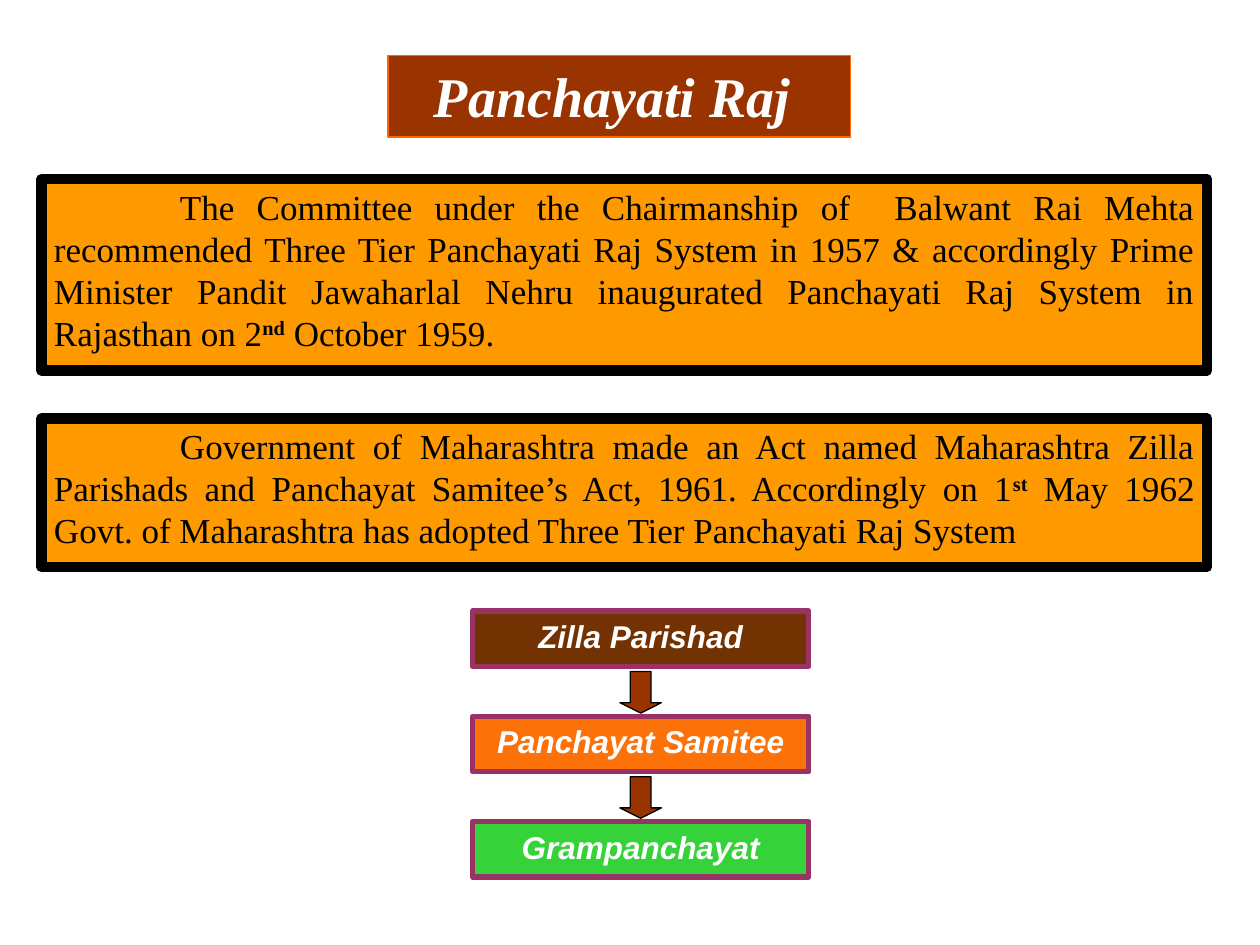
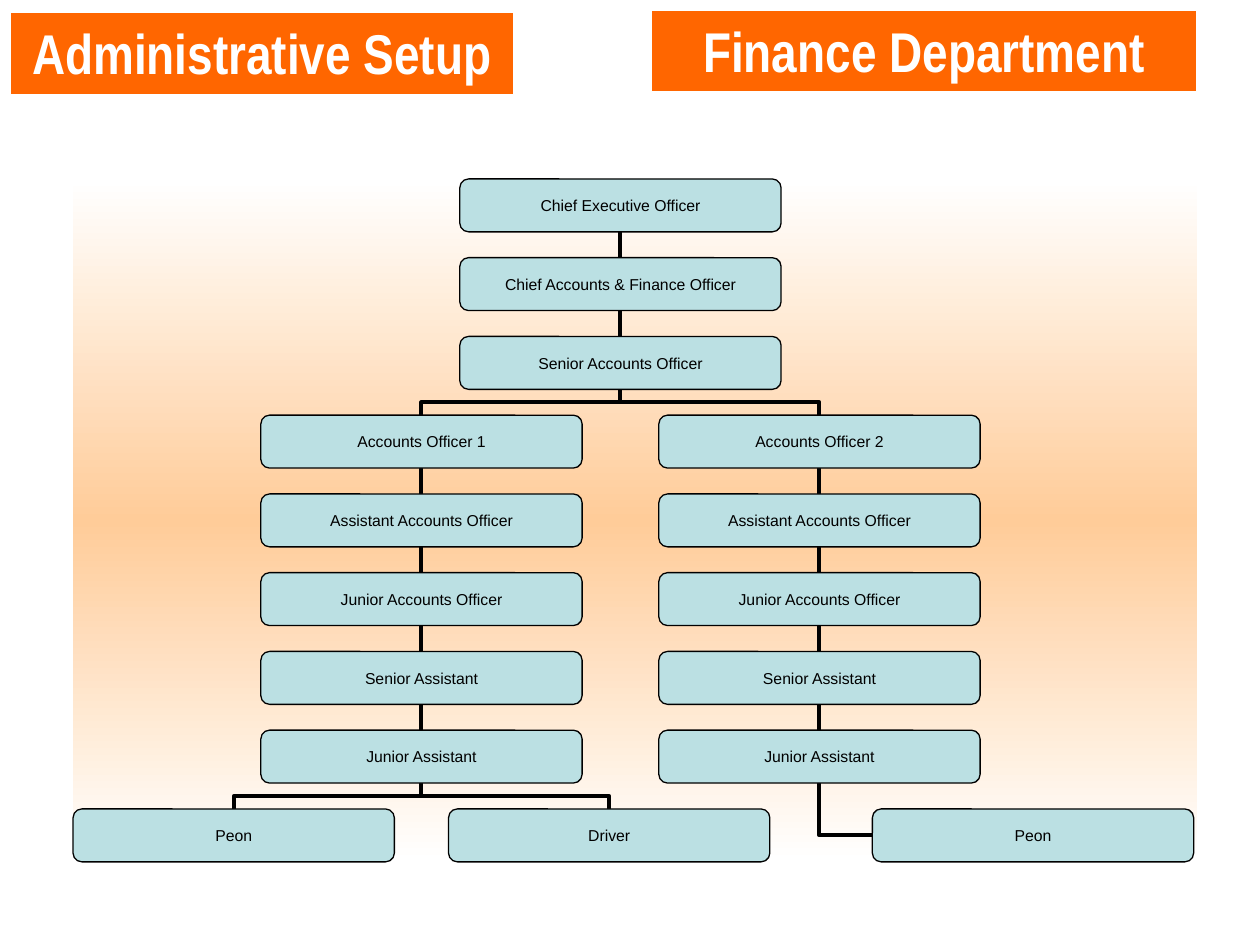
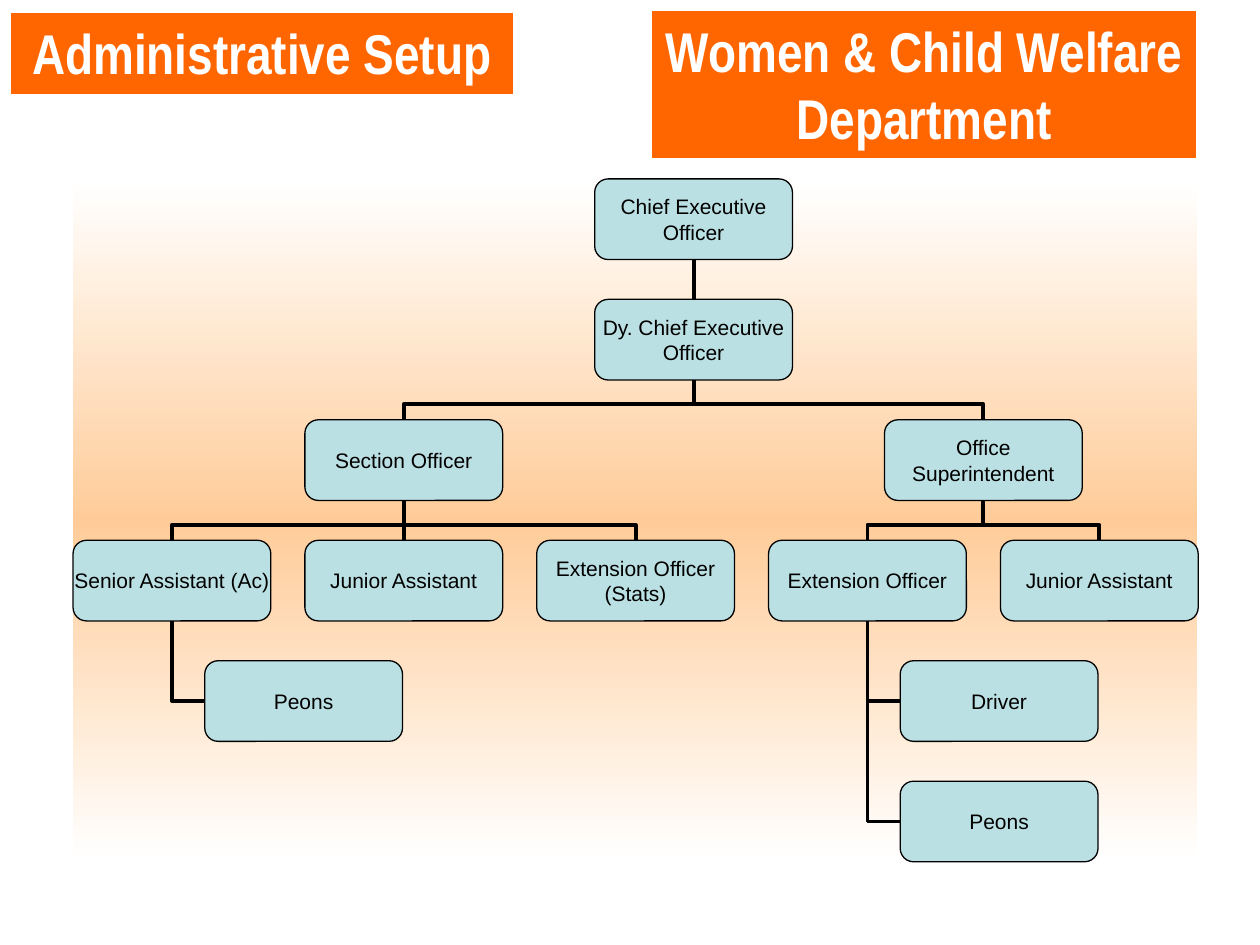
from copy import deepcopy
from dataclasses import dataclass

from lxml import etree
from pptx import Presentation
from pptx.dml.color import RGBColor
from pptx.enum.shapes import MSO_CONNECTOR as Connector, MSO_SHAPE as Shape
from pptx.enum.text import MSO_ANCHOR as Anchor, MSO_AUTO_SIZE as AutoSize, PP_ALIGN as Align
from pptx.oxml.ns import qn
from pptx.util import Inches, Pt


@dataclass(frozen=True)
class Theme:
    black: str = "000000"
    white: str = "FFFFFF"
    orange: str = "FF6600"
    amber: str = "FF9900"
    rust: str = "993300"
    plum: str = "993366"
    peach: str = "FFCC99"
    pale_blue: str = "BBE0E3"
    serif: str = "Times New Roman"
    sans: str = "Arial"
    narrow: str = "Arial Narrow"
    title_size: float = 32
    body_size: float = 20
    tier_size: float = 18
    box_line: float = 0.75
    link_line: float = 2.25


THEME = Theme()

# ---- Content ----
RAJ_TITLE = "Panchayati Raj "
# Each paragraph: top, height, runs as (text, is ordinal suffix)
PARAGRAPHS = [
    (1.42, 1.52, [
        ("The Committee under the Chairmanship of  Balwant Rai Mehta recommended "
         "Three Tier Panchayati Raj System in 1957 & accordingly Prime Minister "
         "Pandit Jawaharlal Nehru inaugurated Panchayati Raj System in Rajasthan on 2", False),
        ("nd", True),
        (" October 1959.", False)]),
    (3.32, 1.18, [
        ("Government of Maharashtra made an Act named Maharashtra Zilla Parishads and "
         "Panchayat Samitee’s Act, 1961. Accordingly on 1", False),
        ("st", True),
        (" May 1962 Govt. of Maharashtra has adopted Three Tier Panchayati Raj System", False)]),
]
TIERS = [("Zilla Parishad", "733201"), ("Panchayat Samitee", "FC7108"),
         ("Grampanchayat", "36D23A")]

SETUP_TITLE = "Administrative Setup"
OFFICER_CHAIN = ["Assistant Accounts Officer", "Junior Accounts Officer",
                 "Senior Assistant", "Junior Assistant"]

# Each post: key, label, key of its superior, column, row.
# A post without a column hangs to the right below its superior.
FINANCE_POSTS = [
    ("ceo", "Chief Executive Officer", None, 1.03, 0),
    ("cafo", "Chief Accounts & Finance Officer", "ceo", 1.03, 1),
    ("sao", "Senior Accounts Officer", "cafo", 1.03, 2),
]
for number, column in ((1, 0.5), (2, 1.56)):
    FINANCE_POSTS.append((f"{number}.0", f"Accounts Officer {number}", "sao", column, 3))
    FINANCE_POSTS += [(f"{number}.{step}", label, f"{number}.{step - 1}", column, 3 + step)
                      for step, label in enumerate(OFFICER_CHAIN, 1)]
FINANCE_POSTS += [
    ("peon 1", "Peon", "1.4", 0, 8),
    ("driver", "Driver", "1.4", 1, 8),
    ("peon 2", "Peon", "2.4", None, 8),
]
WELFARE_POSTS = [
    ("ceo", "Chief Executive Officer", None, 2.25, 0),
    ("deputy", "Dy. Chief Executive Officer", "ceo", 2.25, 1),
    ("section", "Section Officer", "deputy", 1, 2),
    ("office", "Office Superintendent", "deputy", 3.5, 2),
    ("senior", "Senior Assistant (Ac)", "section", 0, 3),
    ("junior 1", "Junior Assistant", "section", 1, 3),
    ("stats", "Extension Officer (Stats)", "section", 2, 3),
    ("extension", "Extension Officer", "office", 3, 3),
    ("junior 2", "Junior Assistant", "office", 4, 3),
    ("peons 1", "Peons", "senior", None, 4),
    ("driver", "Driver", "extension", None, 4),
    ("peons 2", "Peons", "extension", None, 5),
]
TWO_LINE_POSTS = {"Chief Executive Officer", "Dy. Chief Executive Officer",
                  "Office Superintendent", "Extension Officer (Stats)"}

# bend is the height of the crossbar as a share of the gap, from the lower post
DEPARTMENTS = [
    dict(title="Finance Department", title_height=0.65, posts=FINANCE_POSTS,
         size=9, post=(2.55, 0.42), columns=2, pitch=2.98, rows=9, hang=0.42, bend=0.5),
    dict(title="Women & Child Welfare Department", title_height=1.18, posts=WELFARE_POSTS,
         size=12, post=(1.57, 0.64), columns=5, pitch=1.84, rows=6, hang=0.26, bend=0.39),
]
CHART_LEFT, CHART_TOP, CHART_WIDTH, CHART_HEIGHT = 0.58, 1.42, 8.92, 5.42


# ---- Shared parts ----
def color(value):
    return RGBColor.from_string(value)


def add_box(page, kind, left, top, width, height, fill, line, line_width):
    box = page.shapes.add_shape(kind, *map(Inches, (left, top, width, height)))
    box.shadow.inherit = False
    if fill:
        box.fill.solid()
        box.fill.fore_color.rgb = color(fill)
    if line:
        box.line.color.rgb = color(line)
        box.line.width = Pt(line_width)
    else:
        box.line.fill.background()
    return box


def start_text(box, align, grow=True):
    frame = box.text_frame
    frame.word_wrap = True
    if grow:
        frame.auto_size = AutoSize.SHAPE_TO_FIT_TEXT
        frame.vertical_anchor = Anchor.TOP
    para = frame.paragraphs[0]
    para.alignment = align
    return para


def add_span(para, text, font, size, ink, bold=False, italic=False):
    span = para.add_run()
    span.text = text
    span.font.name, span.font.size = font, Pt(size)
    span.font.bold, span.font.italic = bold, italic
    span.font.color.rgb = color(ink)
    return span


def add_banner(page, left, top, width, height, text):
    box = add_box(page, Shape.RECTANGLE, left, top, width, height,
                  THEME.orange, THEME.white, 1)
    add_span(start_text(box, Align.CENTER), text, THEME.narrow,
             THEME.title_size, THEME.white, bold=True)


# ---- Panchayati Raj slide ----
def build_raj(page):
    tier_left, tier_top, tier_width, tier_height, tier_pitch = 3.75, 4.85, 2.67, 0.44, 0.835
    arrow = 0.33
    for step in range(len(TIERS) - 1):
        add_box(page, Shape.DOWN_ARROW, tier_left + (tier_width - arrow) / 2,
                tier_top + 0.48 + step * tier_pitch, arrow, arrow,
                THEME.rust, THEME.black, THEME.box_line).adjustments[1] = 0.25

    for top, height, runs in PARAGRAPHS:
        box = add_box(page, Shape.RECTANGLE, 0.33, top, 9.25, height,
                      THEME.amber, THEME.black, 6)
        para = start_text(box, Align.JUSTIFY)
        para._p.get_or_add_pPr().set("indent", str(Inches(1)))
        for text, ordinal in runs:
            span = add_span(para, text, THEME.serif, THEME.body_size, THEME.black, bold=ordinal)
            if ordinal:
                span._r.get_or_add_rPr().set("baseline", "30000")

    title = add_box(page, Shape.RECTANGLE, 3.08, 0.44, 3.67, 0.65,
                    THEME.rust, THEME.orange, 1)
    add_span(start_text(title, Align.CENTER), RAJ_TITLE, THEME.serif,
             THEME.title_size, THEME.white, bold=True, italic=True)

    for step, (label, fill) in enumerate(TIERS):
        box = add_box(page, Shape.RECTANGLE, tier_left, tier_top + step * tier_pitch,
                      tier_width, tier_height, fill, THEME.plum, 3)
        add_span(start_text(box, Align.CENTER), label, THEME.sans,
                 THEME.tier_size, THEME.white, bold=True, italic=True)


# ---- Organisation charts ----
def add_backdrop(page):
    panel = add_box(page, Shape.RECTANGLE, CHART_LEFT, CHART_TOP, CHART_WIDTH, CHART_HEIGHT,
                    None, None, 0)
    panel.fill.gradient()
    panel.fill.gradient_angle = 90
    stops = panel._element.spPr.find(".//" + qn("a:gsLst"))
    stops.insert(1, deepcopy(stops[0]))
    shades = ((0, THEME.white), (0.5, THEME.peach), (1, THEME.white))
    for stop, (position, shade) in zip(panel.fill.gradient_stops, shades):
        stop.position = position
        stop.color.rgb = color(shade)


def add_link(page, kind, x1, y1, x2, y2):
    link = page.shapes.add_connector(kind, *map(Inches, (x1, y1, x2, y2)))
    link.line.color.rgb = color(THEME.black)
    link.line.width = Pt(THEME.link_line)
    props = link._element.spPr
    etree.SubElement(props, qn("a:effectLst"))
    return props.find(qn("a:xfrm")), props.find(qn("a:prstGeom"))


def link_crossbar(page, x, y, boss_x, boss_y, bend):
    """Elbow that rises from a post, crosses, and rises to its superior."""
    middle_x, middle_y = (x + boss_x) / 2, (y + boss_y) / 2
    half_rise, half_run = (y - boss_y) / 2, abs(x - boss_x) / 2
    # The frame lies on its side, so rise and run change places
    frame, geometry = add_link(page, Connector.ELBOW,
                               middle_x - half_rise, middle_y - half_run,
                               middle_x + half_rise, middle_y + half_run)
    if x > boss_x:
        frame.set("rot", str(90 * 60000))
        frame.set("flipH", "1")
    else:
        frame.set("rot", str(270 * 60000))
    guides = geometry.find(qn("a:avLst"))
    etree.SubElement(guides, qn("a:gd"), name="adj1", fmla=f"val {round(bend * 100000)}")


def link_hanging(page, x, y, boss_x, boss_y):
    """Elbow from the left side of a post up to its superior."""
    frame, geometry = add_link(page, Connector.ELBOW, boss_x, boss_y, x, y)
    frame.set("rot", str(180 * 60000))
    geometry.set("prst", "bentConnector2")


def build_department(page, chart):
    width, height = chart["post"]
    row_pitch = (CHART_HEIGHT - height) / (chart["rows"] - 1)
    add_banner(page, 0.08, 0.1, 4, 0.65, SETUP_TITLE)
    add_backdrop(page)

    # Place every post
    places = {}
    for key, label, boss, column, row in chart["posts"]:
        if column is None:
            left = places[boss][0] + width / 2 + chart["hang"]
        else:
            left = CHART_LEFT + column * chart["pitch"]
        places[key] = (left, CHART_TOP + row * row_pitch)

    # Links go under the posts
    for key, label, boss, column, row in chart["posts"]:
        if boss is None:
            continue
        left, top = places[key]
        center = left + width / 2
        boss_x, boss_y = places[boss][0] + width / 2, places[boss][1] + height
        if column is None:
            link_hanging(page, left, top + height / 2, boss_x, boss_y)
        elif abs(center - boss_x) < 0.01:
            add_link(page, Connector.STRAIGHT, center, top, boss_x, boss_y)
        else:
            link_crossbar(page, center, top, boss_x, boss_y, chart["bend"])

    for key, label, *_ in chart["posts"]:
        box = add_box(page, Shape.ROUNDED_RECTANGLE, *places[key], width, height,
                      THEME.pale_blue, THEME.black, THEME.box_line)
        para = start_text(box, Align.CENTER, grow=False)
        frame = box.text_frame
        frame.word_wrap = label in TWO_LINE_POSTS
        frame.vertical_anchor = Anchor.MIDDLE
        frame.margin_left = frame.margin_right = frame.margin_top = frame.margin_bottom = 0
        add_span(para, label, THEME.sans, chart["size"], THEME.black)

    add_banner(page, 5.17, 0.08, 4.33, chart["title_height"], chart["title"])


def main():
    deck = Presentation()
    deck.slide_width, deck.slide_height = Inches(10), Inches(7.5)
    blank = deck.slide_layouts[6]
    build_raj(deck.slides.add_slide(blank))
    for chart in DEPARTMENTS:
        build_department(deck.slides.add_slide(blank), chart)
    deck.save("out.pptx")


if __name__ == "__main__":
    main()
